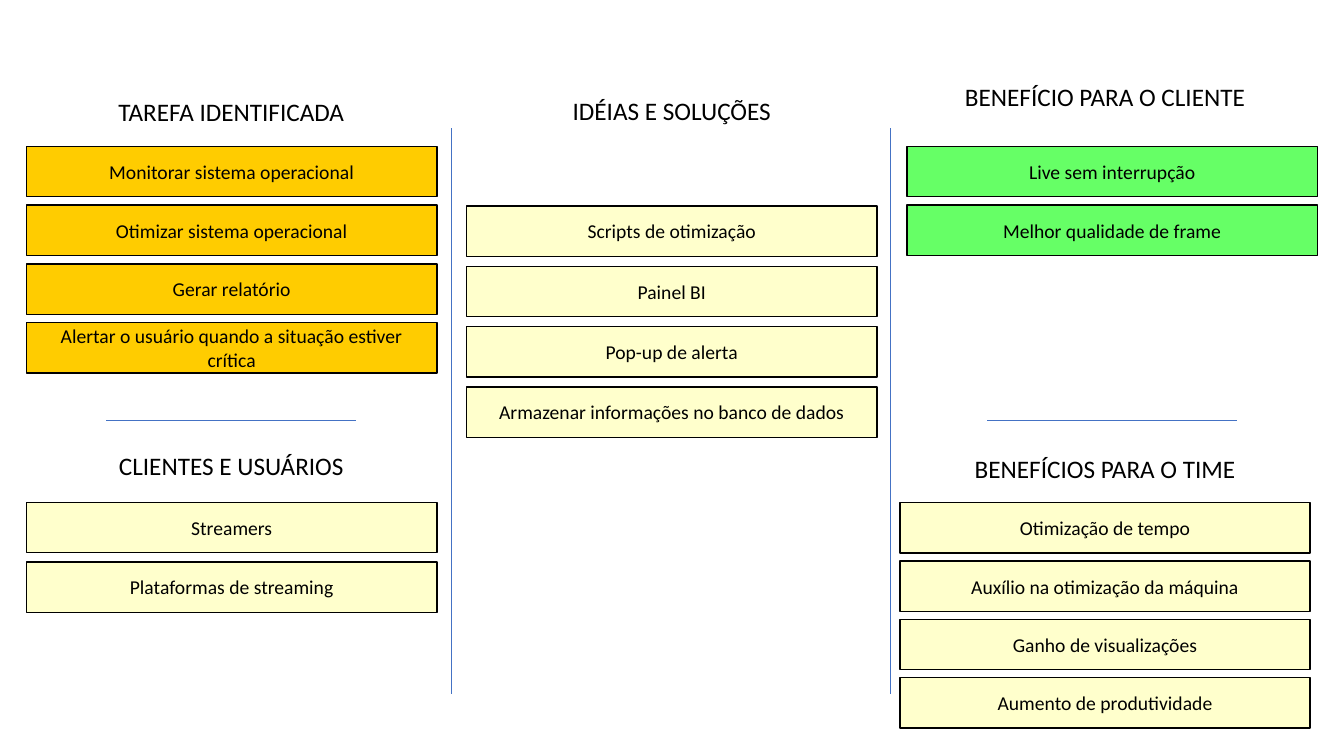
from dataclasses import dataclass

from lxml.etree import SubElement
from pptx import Presentation
from pptx.dml.color import RGBColor
from pptx.enum.shapes import MSO_CONNECTOR, MSO_SHAPE
from pptx.enum.text import MSO_ANCHOR, PP_ALIGN
from pptx.oxml.ns import qn
from pptx.util import Cm, Pt


@dataclass(frozen=True)
class Theme:
    font: str = "Calibri"
    heading_size: int = 18
    card_size: int = 14
    text: str = "000000"
    white: str = "FFFFFF"
    task: str = "FFCC00"
    note: str = "FFFFCC"
    client: str = "66FF66"
    divider: str = "4472C4"


THEME = Theme()
BOX_HEIGHT = 1.27
CARD_WIDTH = 10.34
HEADING_WIDTH = 7.7


def add_box(s, left, top, width, text, size, fill, line):
    sp = s.shapes.add_shape(MSO_SHAPE.RECTANGLE, Cm(left), Cm(top),
                            Cm(width), Cm(BOX_HEIGHT))
    sp.shadow.inherit = False
    sp.fill.solid()
    sp.fill.fore_color.rgb = RGBColor.from_string(fill)
    sp.line.color.rgb = RGBColor.from_string(line)
    sp.line.width = Pt(1)
    tf = sp.text_frame
    tf.word_wrap = True
    tf.vertical_anchor = MSO_ANCHOR.MIDDLE
    p = tf.paragraphs[0]
    p.alignment = PP_ALIGN.CENTER
    r = p.add_run()
    r.text = text
    r.font.name = THEME.font
    r.font.size = Pt(size)
    r.font.color.rgb = RGBColor.from_string(THEME.text)
    return sp


def add_heading(s, left, top, text):
    return add_box(s, left, top, HEADING_WIDTH, text, THEME.heading_size,
                   THEME.white, THEME.white)


def add_cards(s, left, top, pitch, fill, texts):
    for i, text in enumerate(texts):
        add_box(s, left, top + i * pitch, CARD_WIDTH, text, THEME.card_size,
                fill, THEME.text)


def add_divider(s, x1, y1, x2, y2):
    line = s.shapes.add_connector(MSO_CONNECTOR.STRAIGHT,
                                  Cm(x1), Cm(y1), Cm(x2), Cm(y2))
    line.line.color.rgb = RGBColor.from_string(THEME.divider)
    line.line.width = Pt(0.5)
    SubElement(line._element.spPr, qn("a:effectLst"))


def main():
    prs = Presentation()
    prs.slide_width, prs.slide_height = Cm(33.87), Cm(19.05)
    s = prs.slides.add_slide(prs.slide_layouts[6])

    # Dividers between columns and between upper and lower sections
    for x in (11.38, 22.45):
        add_divider(s, x, 3.23, x, 17.5)
    for x in (2.68, 24.88):
        add_divider(s, x, 10.6, x + 6.3, 10.6)

    # Left column: tasks and users
    add_heading(s, 1.98, 2.18, "TAREFA IDENTIFICADA")
    add_cards(s, 0.67, 3.69, 1.48, THEME.task, [
        "Monitorar sistema operacional",
        "Otimizar sistema operacional",
        "Gerar relatório",
        "Alertar o usuário quando a situação estiver crítica",
    ])
    add_heading(s, 1.98, 11.1, "CLIENTES E USUÁRIOS")
    add_cards(s, 0.67, 12.66, 1.5, THEME.note,
              ["Streamers", "Plataformas de streaming"])

    # Middle column: ideas
    add_heading(s, 13.08, 2.14, "IDÉIAS E SOLUÇÕES")
    add_cards(s, 11.76, 5.19, 1.52, THEME.note, [
        "Scripts de otimização",
        "Painel BI",
        "Pop-up de alerta",
        "Armazenar informações no banco de dados",
    ])

    # Right column: benefits, with the first heading raised inside its box
    client_heading = add_heading(s, 24, 2.18, "BENEFÍCIO PARA O CLIENTE")
    client_heading.text_frame.margin_top = Cm(0)
    client_heading.text_frame.margin_bottom = Cm(0.76)
    add_cards(s, 22.86, 3.69, 1.48, THEME.client,
              ["Live sem interrupção", "Melhor qualidade de frame"])
    add_heading(s, 24, 11.18, "BENEFÍCIOS PARA O TIME")
    add_cards(s, 22.68, 12.67, 1.47, THEME.note, [
        "Otimização de tempo",
        "Auxílio na otimização da máquina",
        "Ganho de visualizações",
        "Aumento de produtividade",
    ])

    prs.save("out.pptx")


if __name__ == "__main__":
    main()
